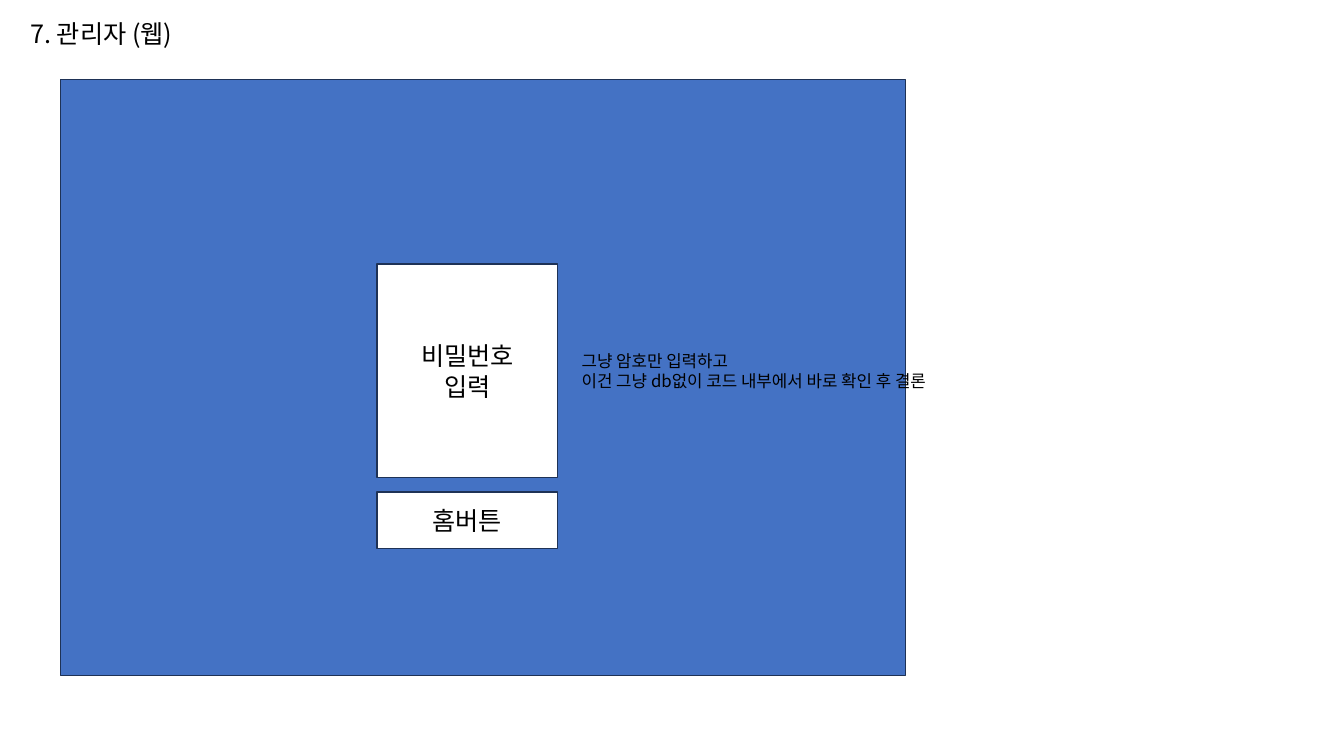
from lxml import etree
from pptx import Presentation
from pptx.dml.color import RGBColor
from pptx.enum.shapes import MSO_SHAPE
from pptx.enum.text import MSO_ANCHOR, MSO_AUTO_SIZE, PP_ALIGN
from pptx.oxml.ns import qn
from pptx.util import Inches, Pt

RECT = MSO_SHAPE.RECTANGLE
TOP, MIDDLE = MSO_ANCHOR.TOP, MSO_ANCHOR.MIDDLE
LEFT, CENTER = PP_ALIGN.LEFT, PP_ALIGN.CENTER
FIT, FIXED = MSO_AUTO_SIZE.SHAPE_TO_FIT_TEXT, MSO_AUTO_SIZE.NONE

BLUE = RGBColor(0x44, 0x72, 0xC4)
NAVY = RGBColor(0x1E, 0x32, 0x56)
WHITE = RGBColor(0xFF, 0xFF, 0xFF)
BLACK = RGBColor(0, 0, 0)
FONT = "Noto Sans CJK KR"

TITLE = "7. 관리자 (웹)"
NOTE = "그냥 암호만 입력하고\n이건 그냥 db없이 코드 내부에서 바로 확인 후 결론"

# Places are left, top, width, height in percent of the slide.
TITLE_AT = (1.5, 1.73, 20.56, 5.33)
NOTE_AT = (42.54, 45.73, 30.61, 6.67)
SCREEN_AT = (4.5, 10.53, 62.87, 78.8)
CARD_X, CARD_W = 28.06, 13.43
CARDS = [  # text, top, height
    ("비밀번호\n입력", 34.93, 28.27),
    ("홈버튼", 65.07, 7.47),
]

deck = Presentation()
deck.slide_width, deck.slide_height = Inches(13.33), Inches(7.5)
slide = deck.slides.add_slide(deck.slide_layouts[5])


def spot(place):
    """Turn percent of the slide into lengths."""
    sides = (deck.slide_width, deck.slide_height) * 2
    return [int(side * part / 100) for side, part in zip(sides, place)]


def write(shape, text, size, align, anchor, fit=FIXED, wrap=True):
    frame = shape.text_frame
    frame.text = text
    frame.word_wrap = wrap
    frame.auto_size = fit
    frame.vertical_anchor = anchor
    for para in frame.paragraphs:
        para.alignment = align
        for run in para.runs:
            font = run.font
            font.name, font.size = FONT, Pt(size)
            font.color.rgb = BLACK
            east = etree.SubElement(run._r.get_or_add_rPr(), qn("a:ea"))
            east.set("typeface", FONT)


def add_box(place, fill):
    box = slide.shapes.add_shape(RECT, *spot(place))
    box.shadow.inherit = False
    box.fill.solid()
    box.fill.fore_color.rgb = fill
    box.line.color.rgb = NAVY
    box.line.width = Pt(1)
    return box


title = slide.shapes.title
title.left, title.top, title.width, title.height = spot(TITLE_AT)
write(title, TITLE, 18, LEFT, TOP, FIT)

add_box(SCREEN_AT, BLUE)

note = slide.shapes.add_textbox(*spot(NOTE_AT))
write(note, NOTE, 12, LEFT, TOP, FIT, wrap=False)

for text, top, height in CARDS:
    card = add_box((CARD_X, top, CARD_W, height), WHITE)
    write(card, text, 18, CENTER, MIDDLE)

deck.save("out.pptx")
